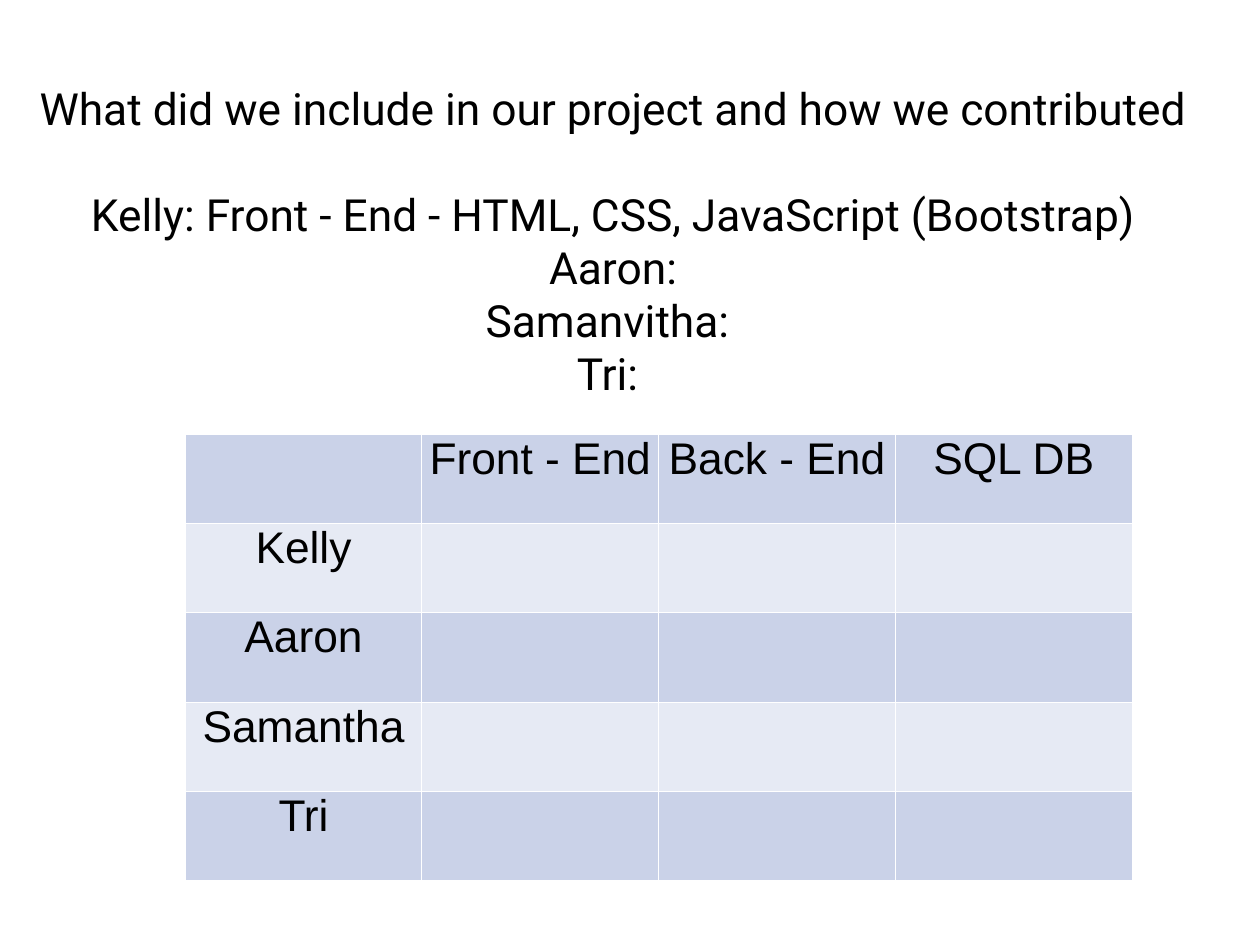
import lxml.etree
import pptx
import pptx.dml.color
import pptx.enum.text
import pptx.oxml.ns
import pptx.util

Pt = pptx.util.Pt
qn = pptx.oxml.ns.qn

HEADING = "What did we include in our project and how we contributed"
CONTRIBUTIONS = [
    "Kelly: Front - End - HTML, CSS, JavaScript (Bootstrap)",
    "Aaron:",
    "Samanvitha: ",
    "Tri: ",
]
AREAS = ["Front - End", "Back - End", "SQL DB"]
MEMBERS = ["Kelly", "Aaron", "Samantha", "Tri"]

THEME = {
    "text": "000000",
    "bands": ["CAD2E8", "E6EAF4"],
    "border": "FFFFFF",
    "size": 36,
    "text_font": "Roboto",
    "table_font": "Arial",
}

SLIDE_WIDTH, SLIDE_HEIGHT = 1024, 768
TEXT_LEFT, TEXT_TOP, TEXT_WIDTH = 20, 62, 956.4
LINE_HEIGHT, TEXT_INSET = 43, 4.3
TABLE_LEFT, TABLE_TOP = 150.5, 352.8
COLUMN_WIDTH, ROW_HEIGHT = 192.4, 72.6


def color(name):
    return pptx.dml.color.RGBColor.from_string(name)


def format_paragraph(para, font_name):
    para.alignment = pptx.enum.text.PP_ALIGN.CENTER
    para.space_before = Pt(0)
    para.font.name = font_name
    para.font.size = Pt(THEME["size"])
    para.font.color.rgb = color(THEME["text"])


def fill_placeholder(box, lines, first_line):
    """Place the lines in the box, starting at a line of the shared text grid."""
    box.left, box.width = Pt(TEXT_LEFT), Pt(TEXT_WIDTH)
    box.top = Pt(TEXT_TOP + first_line * LINE_HEIGHT)
    box.height = Pt(len(lines) * LINE_HEIGHT + 2 * TEXT_INSET)
    frame = box.text_frame
    frame.text = "\n".join(lines)
    frame.word_wrap = True
    frame.auto_size = pptx.enum.text.MSO_AUTO_SIZE.NONE
    frame.vertical_anchor = pptx.enum.text.MSO_ANCHOR.MIDDLE
    frame.margin_left = frame.margin_right = Pt(TEXT_INSET)
    frame.margin_top = frame.margin_bottom = Pt(TEXT_INSET)
    for para in frame.paragraphs:
        format_paragraph(para, THEME["text_font"])


def remove_bullet(para):
    properties = para._p.get_or_add_pPr()
    properties.set("marL", "0")
    properties.set("indent", "0")
    bullet = lxml.etree.Element(qn("a:buNone"))
    spacing = properties.find(qn("a:spcBef"))
    spacing.addnext(bullet)


def add_borders(cell):
    properties = cell._tc.get_or_add_tcPr()
    for position, side in enumerate(["a:lnL", "a:lnR", "a:lnT", "a:lnB"]):
        line = lxml.etree.Element(qn(side), w=str(Pt(1)))
        fill = lxml.etree.SubElement(line, qn("a:solidFill"))
        lxml.etree.SubElement(fill, qn("a:srgbClr"), val=THEME["border"])
        properties.insert(position, line)


def add_contribution_table(slide):
    rows = [[""] + AREAS] + [[member] + [""] * len(AREAS) for member in MEMBERS]
    row_count, column_count = len(rows), len(rows[0])
    table = slide.shapes.add_table(
        row_count, column_count, Pt(TABLE_LEFT), Pt(TABLE_TOP),
        Pt(column_count * COLUMN_WIDTH), Pt(row_count * ROW_HEIGHT),
    ).table
    table.first_row = table.horz_banding = False
    for row_index, row in enumerate(rows):
        for column_index, label in enumerate(row):
            cell = table.cell(row_index, column_index)
            cell.text = label
            cell.margin_left = cell.margin_right = Pt(0)
            cell.margin_top = cell.margin_bottom = Pt(0)
            cell.fill.solid()
            cell.fill.fore_color.rgb = color(THEME["bands"][row_index % 2])
            add_borders(cell)
            format_paragraph(cell.text_frame.paragraphs[0], THEME["table_font"])


def main():
    deck = pptx.Presentation()
    deck.slide_width, deck.slide_height = Pt(SLIDE_WIDTH), Pt(SLIDE_HEIGHT)
    slide = deck.slides.add_slide(deck.slide_layouts.get_by_name("Title and Content"))
    body = slide.placeholders[1]
    fill_placeholder(slide.shapes.title, [HEADING], first_line=0)
    fill_placeholder(body, CONTRIBUTIONS, first_line=2)
    for para in body.text_frame.paragraphs:
        remove_bullet(para)
    add_contribution_table(slide)
    deck.save("out.pptx")


if __name__ == "__main__":
    main()
